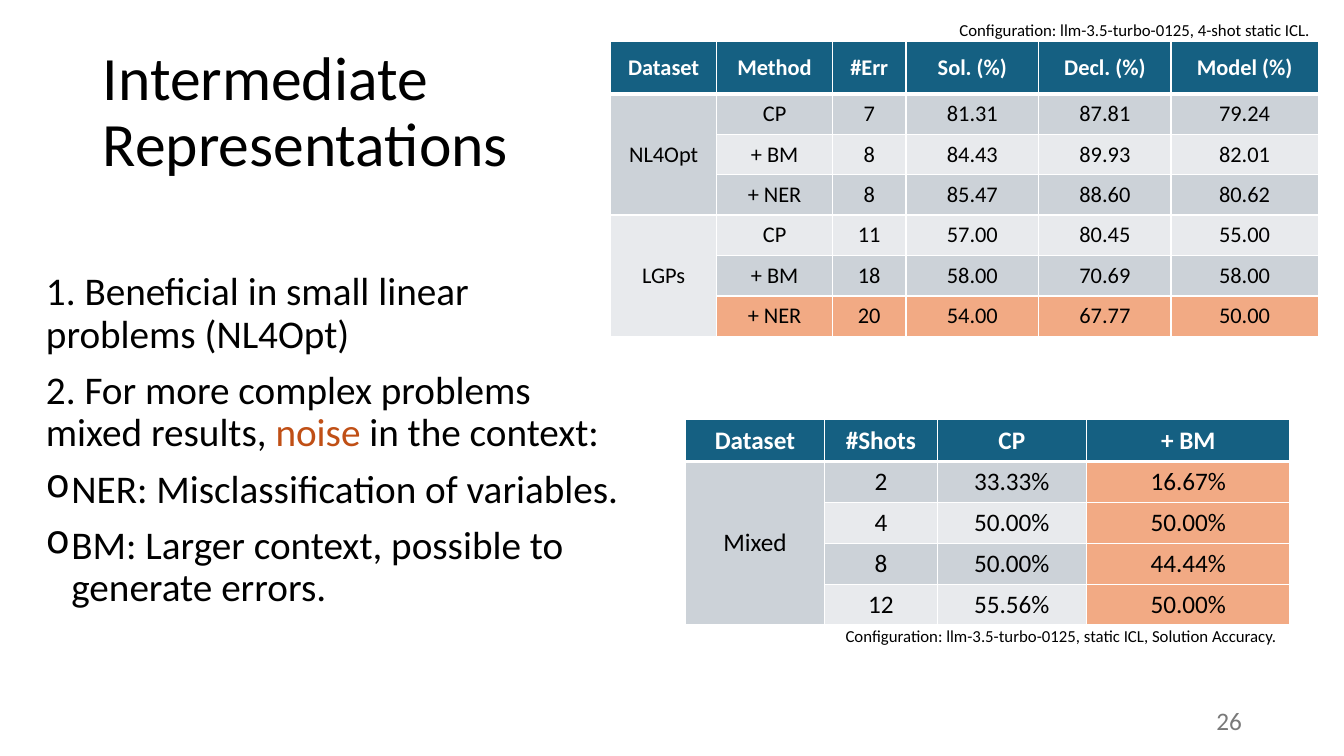
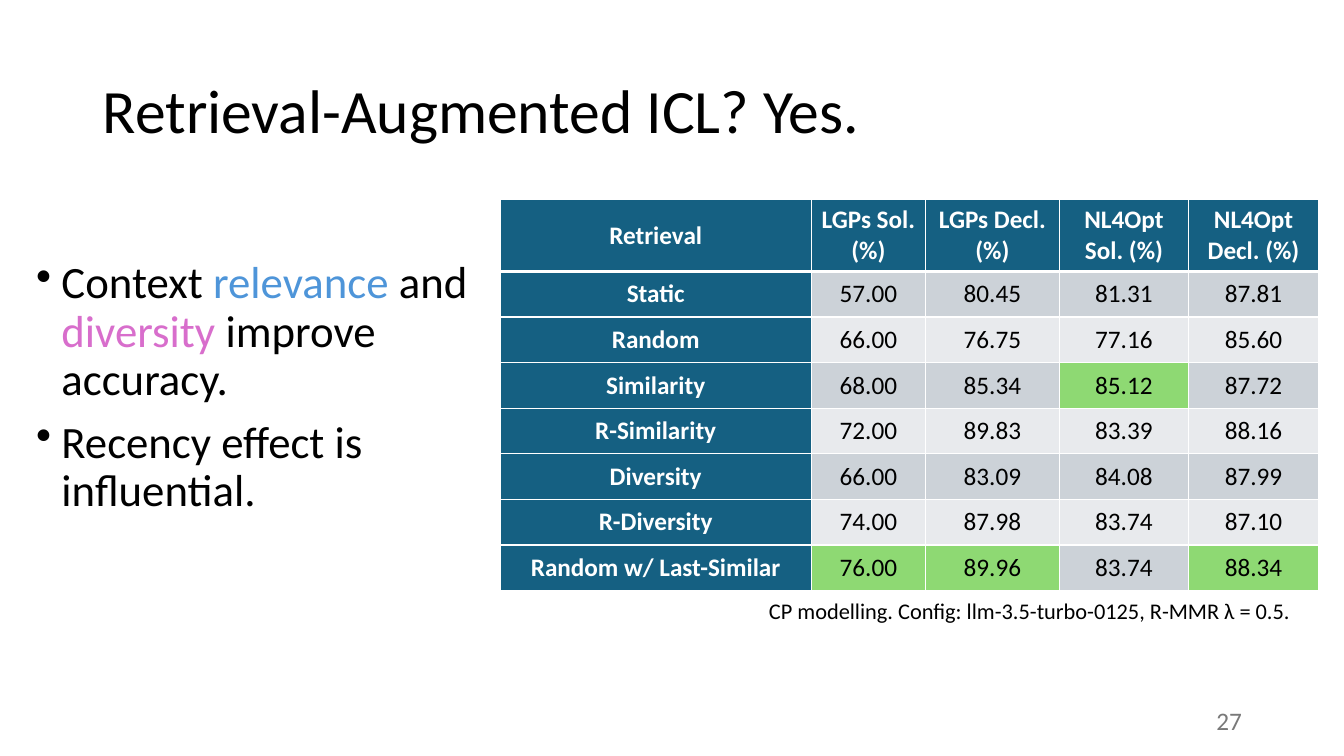
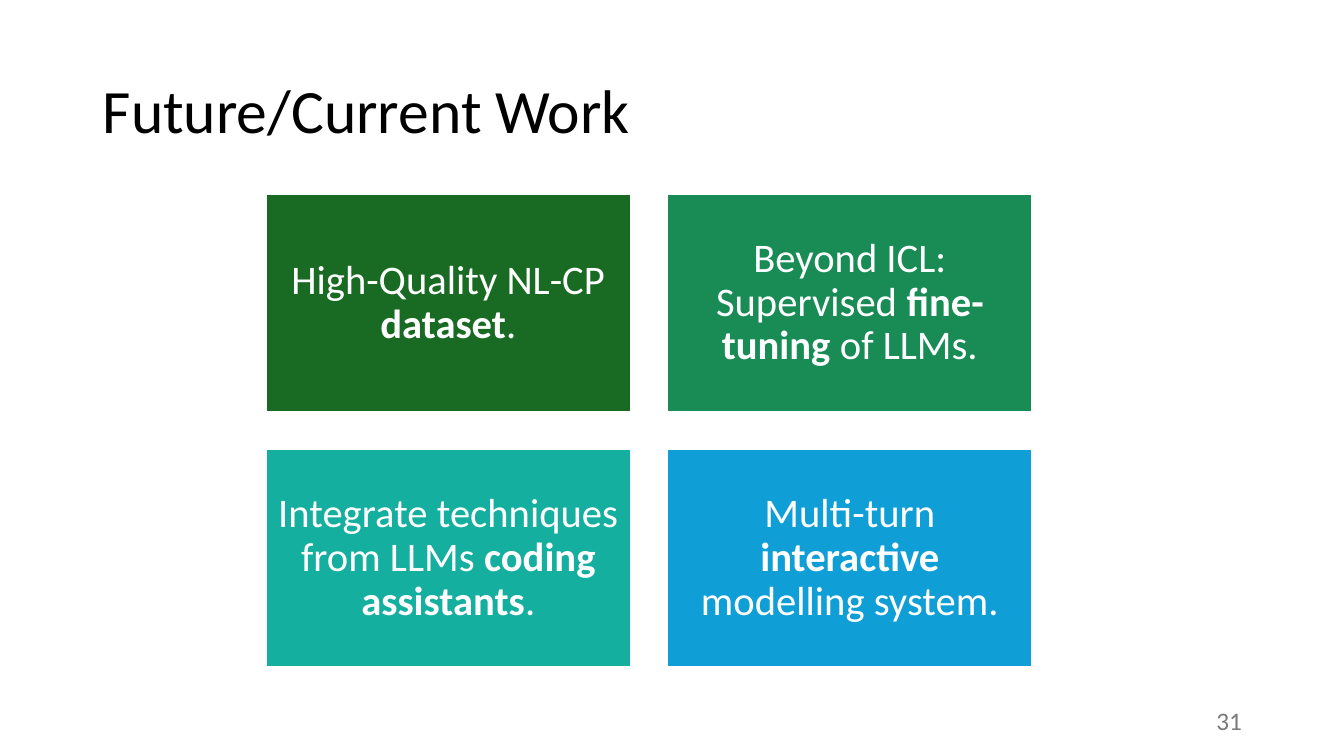
from dataclasses import dataclass, field
from typing import Optional

from lxml import etree
from pptx import Presentation
from pptx import util as u
from pptx.dml import color as dml
from pptx.enum import shapes, text
from pptx.oxml import ns


@dataclass(frozen=True)
class Theme:
    font: str = "Calibri"
    ink: str = "000000"
    white: str = "FFFFFF"
    grey: str = "797979"
    header: str = "156082"
    bands: tuple[str, str] = ("E8EAED", "CCD2D8")
    orange: str = "F2AA84"
    green: str = "8ED973"
    noise: str = "C04F15"
    relevance: str = "4E95D9"
    diversity: str = "D86ECC"
    tiles: tuple[str, ...] = ("196B24", "188C54", "15AF9F", "0F9ED5")
    title_size: int = 44
    tile_size: int = 29
    number_size: int = 18
    note_size: int = 12


THEME = Theme()


@dataclass(frozen=True)
class Area:
    left: float
    top: float
    width: float
    height: float

    def lengths(self) -> tuple[u.Length, ...]:
        return tuple(u.Cm(v) for v in (self.left, self.top, self.width, self.height))


@dataclass(frozen=True)
class Span:
    text: str
    color: Optional[str] = None
    bold: Optional[bool] = None


@dataclass(frozen=True)
class Para:
    spans: tuple[Span, ...]
    bullet: str = ""


@dataclass(frozen=True)
class Style:
    size: int
    color: str = THEME.ink
    bold: bool = False
    align: text.PP_ALIGN = text.PP_ALIGN.LEFT
    line_spacing: Optional[float] = None
    space_before: int = 0


@dataclass(frozen=True)
class Grid:
    left: float
    top: float
    columns: tuple[float, ...]
    header_height: float
    row_height: float
    size: int
    rows: tuple[tuple[str, ...], ...]
    accent: str
    accented: frozenset[tuple[int, int]]
    merges: tuple[tuple[int, int], ...] = field(default=())
    header_column: bool = False


TITLE_AREA = Area(2.34, 1.02, 29.21, 3.68)
NUMBER_AREA = Area(23.93, 17.65, 7.62, 1.02)
TITLE_STYLE = Style(THEME.title_size, line_spacing=0.9)
NUMBER_STYLE = Style(THEME.number_size, THEME.grey, align=text.PP_ALIGN.RIGHT)
TILE_STYLE = Style(THEME.tile_size, THEME.white, align=text.PP_ALIGN.CENTER, line_spacing=0.9)


def plain(words: str, bullet: str = "") -> Para:
    return Para((Span(words),), bullet)


def rgb(value: str) -> dml.RGBColor:
    return dml.RGBColor.from_string(value)


def add_bullet(para, mark: str) -> None:
    properties = para._p.get_or_add_pPr()
    indent = u.Cm(0.64)
    properties.set("marL", str(indent))
    properties.set("indent", str(-indent))
    etree.SubElement(properties, ns.qn("a:buChar")).set("char", mark)


def add_span(para, span: Span) -> None:
    for index, line in enumerate(span.text.split("\n")):
        if index:
            para.add_line_break()
        run = para.add_run()
        run.text = line
        if span.color:
            run.font.color.rgb = rgb(span.color)
        if span.bold is not None:
            run.font.bold = span.bold


def write(frame, paras: tuple[Para, ...], style: Style) -> None:
    for index, content in enumerate(paras):
        para = frame.add_paragraph() if index else frame.paragraphs[0]
        para.alignment = style.align
        if style.line_spacing:
            para.line_spacing = style.line_spacing
        if index:
            para.space_before = u.Pt(style.space_before)
        if content.bullet:
            add_bullet(para, content.bullet)
        para.font.name = THEME.font
        para.font.size = u.Pt(style.size)
        para.font.bold = style.bold
        para.font.color.rgb = rgb(style.color)
        for span in content.spans:
            add_span(para, span)


def add_text(page, area: Area, paras: tuple[Para, ...], style: Style,
             anchor: text.MSO_ANCHOR = text.MSO_ANCHOR.TOP) -> None:
    frame = page.shapes.add_textbox(*area.lengths()).text_frame
    frame.word_wrap = True
    frame.vertical_anchor = anchor
    write(frame, paras, style)


def add_page(deck, title: str, number: int):
    page = deck.slides.add_slide(deck.slide_layouts[6])
    middle = text.MSO_ANCHOR.MIDDLE
    add_text(page, TITLE_AREA, (plain(title),), TITLE_STYLE, middle)
    add_text(page, NUMBER_AREA, (plain(str(number)),), NUMBER_STYLE, middle)
    return page


def add_borders(cell, row: int) -> None:
    widths = {"lnL": 1, "lnR": 1, "lnT": 3 if row == 1 else 1, "lnB": 3 if row == 0 else 1}
    properties = cell._tc.get_or_add_tcPr()
    for index, (side, width) in enumerate(widths.items()):
        line = etree.Element(ns.qn(f"a:{side}"), w=str(u.Pt(width)))
        fill = etree.SubElement(line, ns.qn("a:solidFill"))
        etree.SubElement(fill, ns.qn("a:srgbClr"), val=THEME.white)
        properties.insert(index, line)


def add_grid(page, grid: Grid) -> None:
    height = grid.header_height + grid.row_height * (len(grid.rows) - 1)
    area = Area(grid.left, grid.top, sum(grid.columns), height)
    table = page.shapes.add_table(len(grid.rows), len(grid.columns), *area.lengths()).table
    table.horz_banding = False
    for column, width in zip(table.columns, grid.columns):
        column.width = u.Cm(width)
    for r, values in enumerate(grid.rows):
        table.rows[r].height = u.Cm(grid.row_height if r else grid.header_height)
        for c, value in enumerate(values):
            cell = table.cell(r, c)
            heading = r == 0 or (grid.header_column and c == 0)
            fill = THEME.header if heading else THEME.bands[r % 2]
            if (r, c) in grid.accented:
                fill = grid.accent
            cell.fill.solid()
            cell.fill.fore_color.rgb = rgb(fill)
            cell.vertical_anchor = text.MSO_ANCHOR.MIDDLE
            add_borders(cell, r)
            if value:
                color = THEME.white if heading else THEME.ink
                style = Style(grid.size, color, heading, text.PP_ALIGN.CENTER)
                write(cell.text_frame, (plain(value),), style)
    for first, last in grid.merges:
        table.cell(first, 0).merge(table.cell(last, 0))


def add_tile(page, area: Area, fill: str, content: Para) -> None:
    tile = page.shapes.add_shape(shapes.MSO_SHAPE.RECTANGLE, *area.lengths())
    tile.shadow.inherit = False
    tile.fill.solid()
    tile.fill.fore_color.rgb = rgb(fill)
    tile.line.color.rgb = rgb(THEME.white)
    tile.line.width = u.Pt(1.5)
    frame = tile.text_frame
    frame.word_wrap = True
    frame.vertical_anchor = text.MSO_ANCHOR.MIDDLE
    inset = u.Cm(0.3)
    frame.margin_left = frame.margin_right = frame.margin_top = frame.margin_bottom = inset
    write(frame, (content,), TILE_STYLE)


METHODS = Grid(
    15.39, 1.04, (2.67, 2.92, 1.85, 3.35, 3.33, 3.71), 1.32, 1.02, 16,
    (
        ("Dataset", "Method", "#Err", "Sol. (%)", "Decl. (%)", "Model (%)"),
        ("NL4Opt", "CP", "7", "81.31", "87.81", "79.24"),
        ("", "+ BM", "8", "84.43", "89.93", "82.01"),
        ("", "+ NER", "8", "85.47", "88.60", "80.62"),
        ("LGPs", "CP", "11", "57.00", "80.45", "55.00"),
        ("", "+ BM", "18", "58.00", "70.69", "58.00"),
        ("", "+ NER", "20", "54.00", "67.77", "50.00"),
    ),
    THEME.orange, frozenset((6, c) for c in range(1, 6)), merges=((1, 3), (4, 6)),
)

SHOTS = Grid(
    17.27, 10.57, (3.51, 2.84, 3.76, 5.13), 1.06, 1.03, 18,
    (
        ("Dataset", "#Shots", "CP", "+ BM"),
        ("Mixed", "2", "33.33%", "16.67%"),
        ("", "4", "50.00%", "50.00%"),
        ("", "8", "50.00%", "44.44%"),
        ("", "12", "55.56%", "50.00%"),
    ),
    THEME.orange, frozenset((r, 3) for r in range(1, 5)), merges=((1, 4),),
)

RETRIEVAL = Grid(
    12.6, 5.03, (7.85, 2.87, 3.38, 3.25, 3.28), 1.81, 1.15, 18,
    (
        ("Retrieval", "LGPs Sol. (%)", "LGPs Decl. (%)", "NL4Opt Sol. (%)", "NL4Opt Decl. (%)"),
        ("Static", "57.00", "80.45", "81.31", "87.81"),
        ("Random", "66.00", "76.75", "77.16", "85.60"),
        ("Similarity", "68.00", "85.34", "85.12", "87.72"),
        ("R-Similarity", "72.00", "89.83", "83.39", "88.16"),
        ("Diversity", "66.00", "83.09", "84.08", "87.99"),
        ("R-Diversity", "74.00", "87.98", "83.74", "87.10"),
        ("Random w/ Last-Similar", "76.00", "89.96", "83.74", "88.34"),
    ),
    THEME.green, frozenset({(3, 3), (7, 1), (7, 2), (7, 4)}), header_column=True,
)

FUTURE_WORK = (
    ("High-Quality NL-CP ", "dataset", "."),
    ("Beyond ICL: Supervised ", "fine-tuning", " of LLMs."),
    ("Integrate techniques from LLMs ", "coding assistants", "."),
    ("Multi-turn ", "interactive", " modelling system."),
)


def build_representations(deck) -> None:
    page = add_page(deck, "Intermediate\nRepresentations", 26)
    findings = (
        plain("1. Beneficial in small linear\nproblems (NL4Opt)"),
        Para((
            Span("2. For more complex problems\nmixed results, "),
            Span("noise", THEME.noise),
            Span(" in the context:"),
        )),
        plain("NER: Misclassification of variables.", "o"),
        plain("BM: Larger context, possible to generate errors.", "o"),
    )
    add_text(page, Area(0.91, 6.73, 15.24, 9.09), findings,
             Style(28, line_spacing=0.9, space_before=10))
    add_grid(page, METHODS)
    add_grid(page, SHOTS)
    note = Style(THEME.note_size)
    add_text(page, Area(23.93, 0.38, 9.94, 0.76),
             (plain("Configuration: llm-3.5-turbo-0125, 4-shot static ICL."),), note)
    add_text(page, Area(21.06, 15.65, 11.66, 0.76),
             (plain("Configuration: llm-3.5-turbo-0125, static ICL, Solution Accuracy."),), note)


def build_retrieval(deck) -> None:
    page = add_page(deck, "Retrieval-Augmented ICL? Yes.", 27)
    findings = (
        Para((
            Span("Context "),
            Span("relevance", THEME.relevance),
            Span(" and "),
            Span("diversity", THEME.diversity),
            Span(" improve accuracy."),
        ), "•"),
        plain("Recency effect is influential.", "•"),
    )
    add_text(page, Area(0.66, 6.43, 13.03, 8.26), findings,
             Style(32, line_spacing=0.9, space_before=10))
    add_grid(page, RETRIEVAL)
    add_text(page, Area(19.13, 14.91, 14.02, 0.94),
             (plain("CP modelling. Config: llm-3.5-turbo-0125, R-MMR λ = 0.5."),), Style(16))


def build_future_work(deck) -> None:
    page = add_page(deck, "Future/Current Work", 31)
    left, top, width, height, gap = 6.7, 4.88, 9.2, 5.51, 0.92
    for index, (lead, strong, tail) in enumerate(FUTURE_WORK):
        row, column = divmod(index, 2)
        area = Area(left + column * (width + gap), top + row * (height + gap), width, height)
        content = Para((Span(lead), Span(strong, bold=True), Span(tail)))
        add_tile(page, area, THEME.tiles[index], content)


def main() -> None:
    deck = Presentation()
    deck.slide_width, deck.slide_height = u.Cm(33.87), u.Cm(19.05)
    build_representations(deck)
    build_retrieval(deck)
    build_future_work(deck)
    deck.save("out.pptx")


if __name__ == "__main__":
    main()
